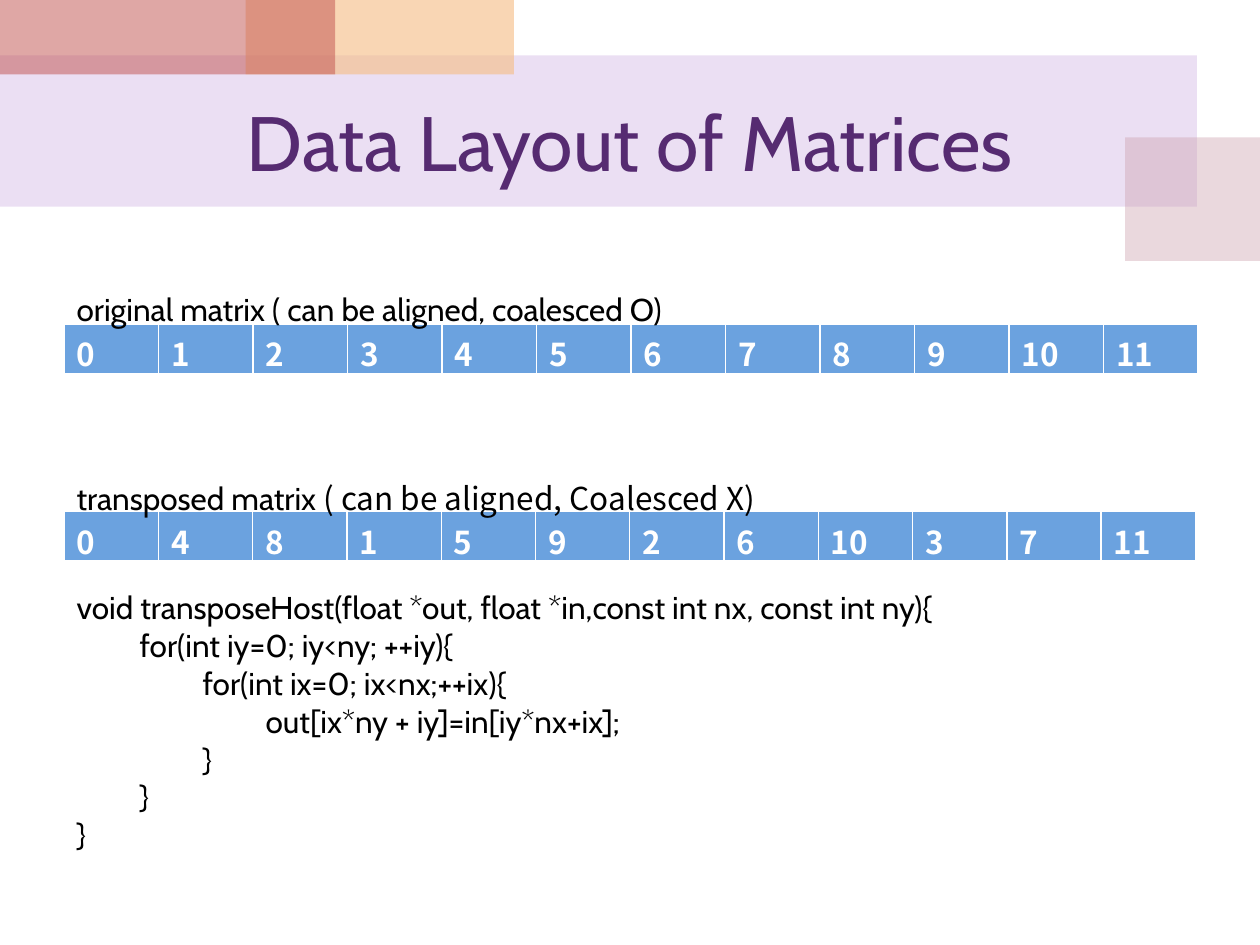
import pptx
import pptx.dml.color
import pptx.enum.shapes
import pptx.enum.text
import pptx.oxml
import pptx.oxml.ns
import pptx.util
from lxml import etree

WIDTH, HEIGHT = 10, 7.5
ROWS, COLS = 3, 4
LEFT = 0.51
SANS, CJK = "Cabin", "Noto Sans CJK KR"
CODE = """void transposeHost(float *out, float *in,const int nx, const int ny){
\tfor(int iy=0; iy<ny; ++iy){
\t\tfor(int ix=0; ix<nx;++ix){
\t\t\tout[ix*ny + iy]=in[iy*nx+ix];
\t\t}
\t}
}"""


def box(x, y, w, h):
    return [pptx.util.Inches(v) for v in (x, y, w, h)]


def rgb(value):
    return pptx.dml.color.RGBColor.from_string(value)


def add_run(p, text, font=SANS, size=18, color="000000", bold=False):
    r = p.add_run()
    r.text = text
    r.font.name = font
    r.font.size = pptx.util.Pt(size)
    r.font.bold = bold
    r.font.color.rgb = rgb(color)


def add_block(s, x, y, w, h, color, opacity):
    sp = s.shapes.add_shape(pptx.enum.shapes.MSO_SHAPE.RECTANGLE, *box(x, y, w, h))
    sp.shadow.inherit = False
    sp.line.fill.background()
    sp.fill.solid()
    sp.fill.fore_color.rgb = rgb(color)
    clr = sp.fill._xPr.find(".//" + pptx.oxml.ns.qn("a:srgbClr"))
    etree.SubElement(clr, pptx.oxml.ns.qn("a:alpha"), val=str(opacity * 1000))


def add_text(s, x, y, w, h, paragraphs, align="LEFT", anchor="TOP"):
    tf = s.shapes.add_textbox(*box(x, y, w, h)).text_frame
    tf.word_wrap = True
    tf.vertical_anchor = pptx.enum.text.MSO_ANCHOR[anchor]
    for i, runs in enumerate(paragraphs):
        p = tf.add_paragraph() if i else tf.paragraphs[0]
        p.alignment = pptx.enum.text.PP_ALIGN[align]
        for text, style in runs:
            add_run(p, text, **style)


def add_border(cell, side, points):
    ns = pptx.oxml.ns.nsdecls("a")
    return pptx.oxml.parse_xml(
        f'<a:{side} {ns} w="{pptx.util.Pt(points)}"><a:solidFill>'
        f'<a:srgbClr val="FFFFFF"/></a:solidFill></a:{side}>')


def add_matrix(s, y, w, h, values):
    table = s.shapes.add_table(1, len(values), *box(LEFT, y, w, h)).table
    for i, value in enumerate(values):
        table.columns[i].width = pptx.util.Inches(w / len(values))
        cell = table.cell(0, i)
        tc_pr = cell._tc.get_or_add_tcPr()
        for side, points in (("lnL", 1), ("lnR", 1), ("lnT", 1), ("lnB", 3)):
            tc_pr.append(add_border(cell, side, points))
        cell.fill.solid()
        cell.fill.fore_color.rgb = rgb("6BA2DF")
        add_run(cell.text_frame.paragraphs[0], str(value), font=CJK, color="FFFFFF", bold=True)


def main():
    prs = pptx.Presentation()
    prs.slide_width = pptx.util.Inches(WIDTH)
    prs.slide_height = pptx.util.Inches(HEIGHT)
    s = prs.slides.add_slide(prs.slide_layouts[6])

    add_block(s, 0, 0.44, 0.95 * WIDTH, 1.2, "BF98D8", 30)
    add_block(s, 8.93, 1.09, WIDTH - 8.93, 0.98, "CC9EAC", 40)
    add_block(s, 1.95, 0, 2.13, 0.59, "F5BC83", 60)
    add_block(s, 0, 0, 2.66, 0.59, "C0504D", 50)
    add_text(s, 0.05 * WIDTH, 0.59, 0.9 * WIDTH, 1.05,
             [[("Data Layout of Matrices", {"size": 44, "color": "562B71"})]],
             align="CENTER", anchor="MIDDLE")

    add_matrix(s, 2.57, 9, 0.41, range(ROWS * COLS))
    add_matrix(s, 4.06, 8.98, 0.39, [r * COLS + c for c in range(COLS) for r in range(ROWS)])

    add_text(s, LEFT, 2.25, 8.27, 0.4,
             [[("original matrix ( can be aligned, coalesced O)", {})]])
    add_text(s, LEFT, 3.75, 6.14, 0.4,
             [[("transposed matrix ", {}), ("( can be aligned, Coalesced X)", {"font": CJK})]])
    add_text(s, LEFT, 4.62, 8.98, 2.22, [[(line, {})] for line in CODE.split("\n")])

    prs.save("out.pptx")


if __name__ == "__main__":
    main()
